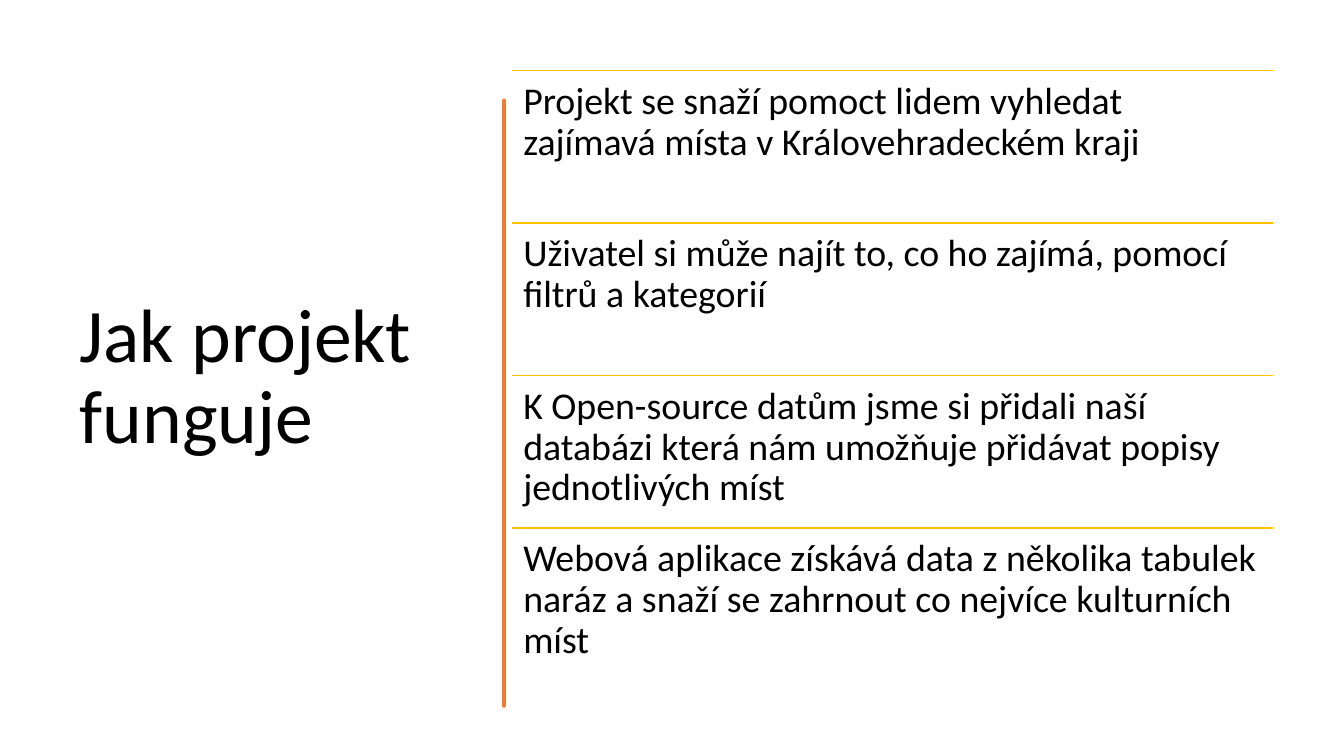
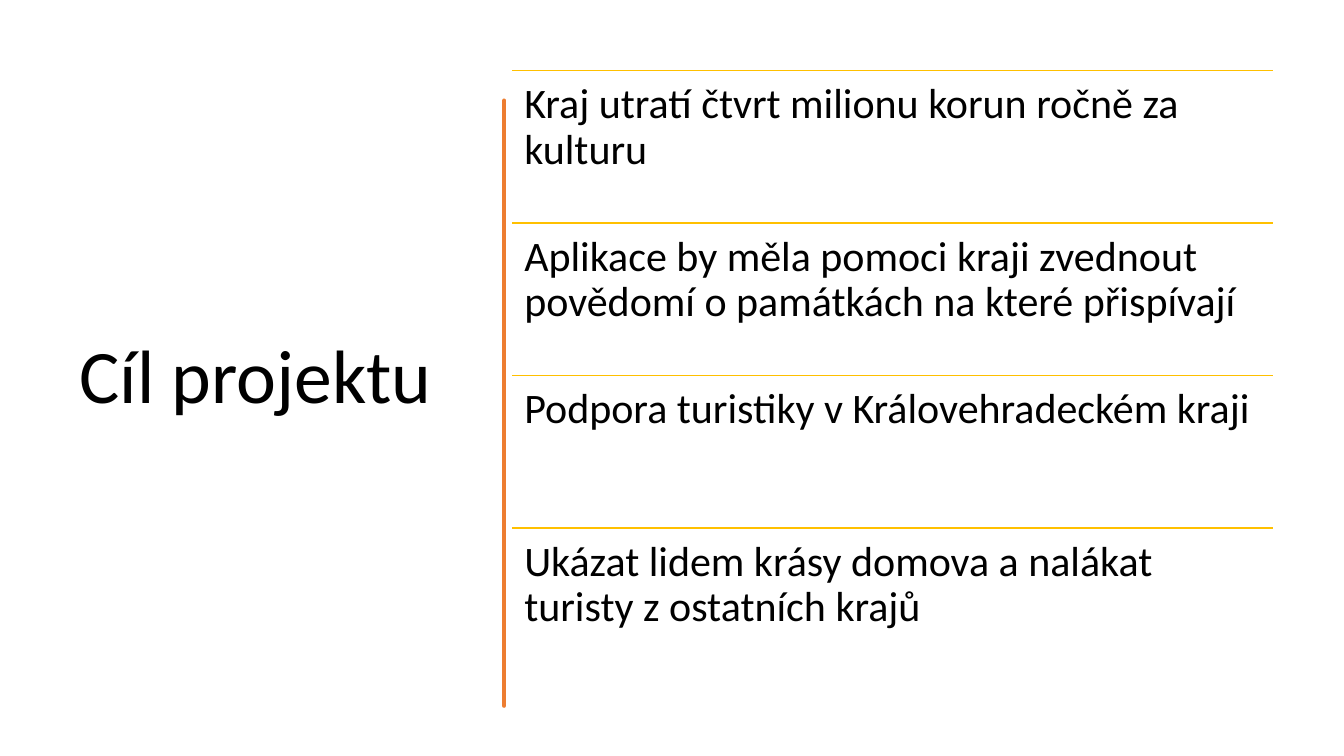
from lxml import etree
from pptx import Presentation, util as u
from pptx.dml.color import RGBColor
from pptx.enum import shapes, text
from pptx.oxml.ns import qn

DECK = [
    ("Jak projekt funguje", 27, 0.11, [
        "Projekt se snaží pomoct lidem vyhledat zajímavá místa v Královehradeckém kraji",
        "Uživatel si může najít to, co ho zajímá, pomocí filtrů a kategorií",
        "K Open-source datům jsme si přidali naší databázi která nám umožňuje "
        "přidávat popisy jednotlivých míst",
        "Webová aplikace získává data z několika tabulek naráz a snaží se "
        "zahrnout co nejvíce kulturních míst",
    ]),
    ("Cíl projektu", 30, 0.12, [
        "Kraj utratí čtvrt milionu korun ročně za kulturu",
        "Aplikace by měla pomoci kraji zvednout povědomí o památkách na které přispívají",
        "Podpora turistiky v Královehradeckém kraji",
        "Ukázat lidem krásy domova a nalákat turisty z ostatních krajů",
    ]),
]
FONT = "Calibri"
BLACK = RGBColor(0x00, 0x00, 0x00)
ORANGE = RGBColor(0xED, 0x7D, 0x31)
GOLD = RGBColor(0xFF, 0xC0, 0x00)

WIDE, HIGH = 13.33, 7.5
TOP = 0.7
TITLE = (0.69, TOP, 3.74, 6.11)
LEFT, SPAN, ROWS = 5.08, 7.55, 6.05

# Brush edges: x, top or bottom, then (bend x, bend y, bend x, bend y, end y)
RIGHT = (4.75, 0.84, [
    (4.77, 1.02, 4.77, 1.19, 1.46), (4.73, 1.73, 4.76, 1.95, 2.26),
    (4.74, 2.57, 4.75, 2.62, 2.94), (4.74, 3.25, 4.77, 3.42, 3.56),
    (4.73, 3.7, 4.79, 4.14, 4.36), (4.71, 4.57, 4.72, 4.84, 5.1),
    (4.77, 5.36, 4.77, 5.64, 5.84), (4.73, 6.03, 4.76, 6.5, 6.76)])
BACK = (4.73, 6.76, [
    (4.74, 6.46, 4.71, 6.44, 6.13), (4.74, 5.83, 4.74, 5.7, 5.57),
    (4.72, 5.44, 4.72, 4.95, 4.77), (4.73, 4.59, 4.71, 4.45, 4.15),
    (4.74, 3.86, 4.72, 3.73, 3.35), (4.74, 2.98, 4.72, 2.81, 2.5),
    (4.74, 2.18, 4.75, 2, 1.81), (4.7, 1.63, 4.77, 1.04, 0.84)])
STEPS = 6


def box(*sizes):
    """Turn inches into lengths."""
    return [u.Inches(size) for size in sizes]


def write(frame, words, size):
    """Set one left-aligned paragraph in the deck's font."""
    frame.text = words
    frame.word_wrap = True
    frame.auto_size = text.MSO_AUTO_SIZE.NONE
    para = frame.paragraphs[0]
    para.alignment = text.PP_ALIGN.LEFT
    para.line_spacing = 0.9
    font = para.runs[0].font
    font.name, font.size, font.color.rgb = FONT, u.Pt(size), BLACK


def trace(edge):
    """Give points along the curves of one brush edge."""
    x, y, bends = edge
    points = [(x, y)]
    for ax, ay, bx, by, end in bends:
        for step in range(1, STEPS + 1):
            t = step / STEPS
            parts = ((1 - t) ** 3, 3 * t * (1 - t) ** 2,
                     3 * t * t * (1 - t), t ** 3)
            points.append((sum(p * v for p, v in zip(parts, (x, ax, bx, x))),
                           sum(p * v for p, v in zip(parts, (y, ay, by, end)))))
        y = end
    return points


def brush(slide):
    """Draw the wavy upright stroke beside the title."""
    points = trace(RIGHT) + trace(BACK)
    path = slide.shapes.build_freeform(*points[0], scale=u.Inches(1))
    path.add_line_segments(points[1:], close=True)
    stroke = path.convert_to_shape()
    stroke.shadow.inherit = False
    stroke.fill.solid()
    stroke.fill.fore_color.rgb = ORANGE
    stroke.line.color.rgb = ORANGE
    stroke.line.width = u.Pt(3.25)
    etree.SubElement(stroke.line._get_or_add_ln(), qn("a:round"))


def rule(slide, y):
    """Draw the thin line above a row."""
    line = slide.shapes.add_connector(
        shapes.MSO_CONNECTOR.STRAIGHT, *box(LEFT, y, LEFT + SPAN, y))
    line.line.color.rgb = GOLD
    line.line.width = u.Pt(1)
    etree.SubElement(line._element.spPr, qn("a:effectLst"))


def rows(slide, items, size, inset):
    """Stack the items in equal rows, each under a rule."""
    step = ROWS / len(items)
    for i, words in enumerate(items):
        y = TOP + i * step
        rule(slide, y)
        frame = slide.shapes.add_textbox(*box(LEFT, y, SPAN, step)).text_frame
        frame.margin_left = frame.margin_right = u.Inches(inset)
        frame.margin_top = frame.margin_bottom = u.Inches(inset)
        write(frame, words, size)


def main():
    """Build and save the deck."""
    deck = Presentation()
    deck.slide_width, deck.slide_height = box(WIDE, HIGH)
    layout = deck.slide_layouts[5]
    head = layout.placeholders[0]
    head.left, head.top, head.width, head.height = box(*TITLE)
    head.text_frame.vertical_anchor = text.MSO_ANCHOR.MIDDLE
    for title, size, inset, items in DECK:
        slide = deck.slides.add_slide(layout)
        write(slide.shapes.title.text_frame, title, 54)
        brush(slide)
        rows(slide, items, size, inset)
    deck.save("out.pptx")


main()
